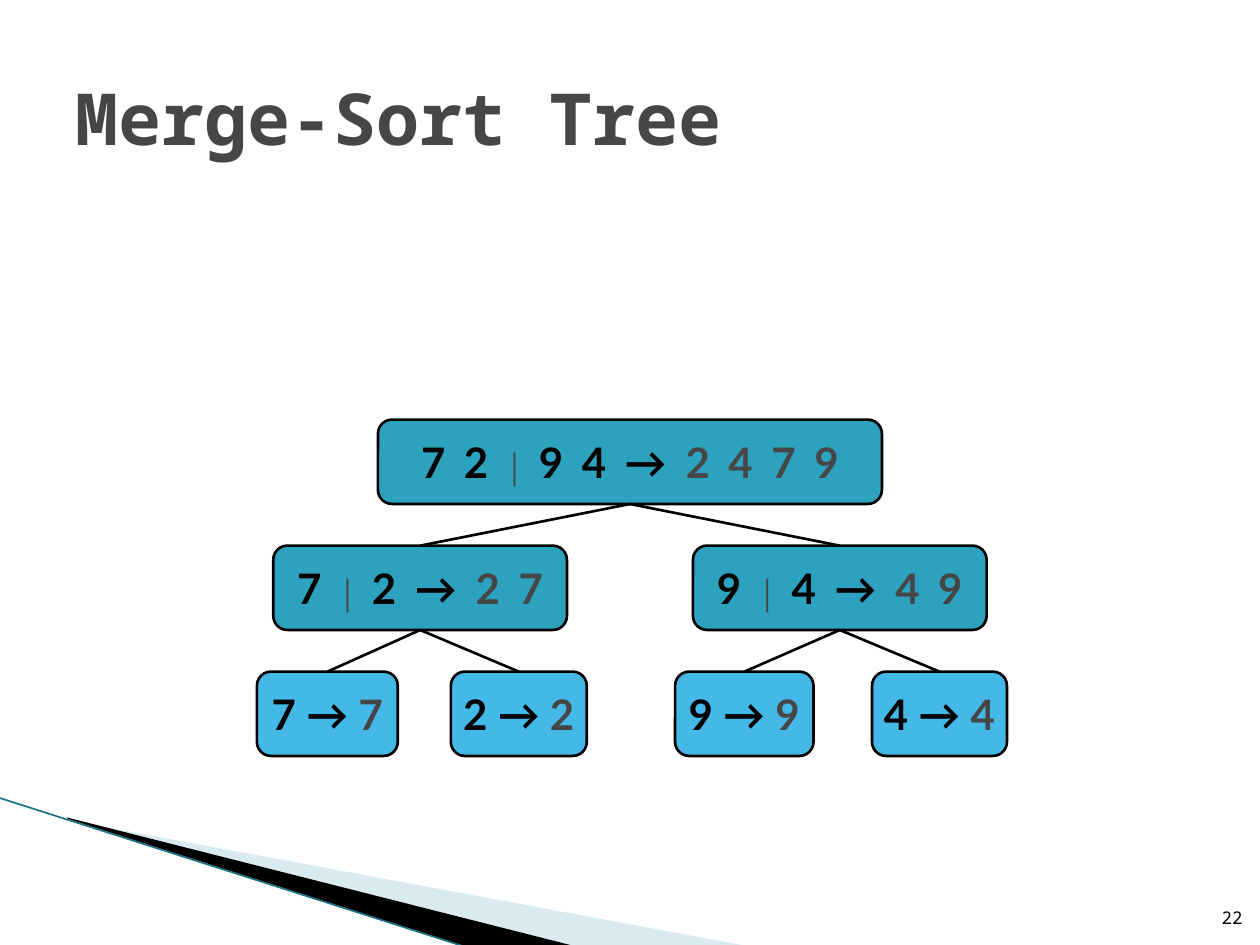
from dataclasses import dataclass
from typing import Optional

from lxml.etree import SubElement
from pptx import Presentation
from pptx.dml.color import RGBColor
from pptx.enum.shapes import MSO_CONNECTOR, MSO_SHAPE
from pptx.enum.text import MSO_ANCHOR, PP_ALIGN
from pptx.oxml.ns import qn
from pptx.util import Cm, Pt

COLORS = {
    "ink": "000000",
    "grey": "464646",
    "branch": "2DA2BF",
    "leaf": "44B9E8",
    "pale": "A0CBDC",
    "edge": "1D7086",
}
MONO = "Noto Sans Mono"
TREE_TOP, LEVEL_STEP, NODE_HEIGHT = 8.46, 2.54, 1.7
BRANCH_TRACKING = 2.4
TOP_SITE, BOTTOM_SITE = 0, 2


@dataclass(frozen=True)
class Node:
    level: int
    left: float
    width: float
    halves: tuple[str, ...]
    result: str
    parent: Optional[int] = None


@dataclass(frozen=True)
class Wedge:
    points: tuple[tuple[float, float], ...]
    color: str
    opacity: int


NODES = [
    Node(0, 7.62, 10.16, ("7 2", "9 4"), "2 4 7 9"),
    Node(1, 5.51, 5.92, ("7", "2"), "2 7", 0),
    Node(1, 13.97, 5.92, ("9", "4"), "4 9", 0),
    Node(2, 5.18, 2.84, ("7",), "7", 1),
    Node(2, 9.09, 2.74, ("2",), "2", 1),
    Node(2, 13.61, 2.79, ("9",), "9", 2),
    Node(2, 17.58, 2.72, ("4",), "4", 2),
]
WEDGES = [
    Wedge(((1.4, 16.54), (15.11, 19.08), (11.58, 19.08), (1.4, 16.51)), "pale", 40),
    Wedge(((1.35, 16.48), (11.61, 19.08), (9.45, 19.1), (1.37, 16.51)), "ink", 100),
]


def rgb(name: str) -> RGBColor:
    return RGBColor.from_string(COLORS[name])


def add_span(para, text: str, size: float, font: str, color: str,
             bold: bool = True, tracking: float = 0) -> None:
    span = para.add_run()
    span.text = text
    span.font.size = Pt(size)
    span.font.name = font
    span.font.bold = bold
    span.font.color.rgb = rgb(color)
    if tracking:
        span._r.get_or_add_rPr().set("spc", str(round(tracking * 100)))


def add_wedge(page, wedge: Wedge) -> None:
    start, *others = [(Cm(x), Cm(y)) for x, y in wedge.points]
    builder = page.shapes.build_freeform(*start)
    builder.add_line_segments(others, close=True)
    shape = builder.convert_to_shape()
    shape.shadow.inherit = False
    shape.fill.solid()
    shape.fill.fore_color.rgb = rgb(wedge.color)
    shape.line.fill.background()
    if wedge.opacity < 100:
        color = shape._element.spPr.find(qn("a:solidFill"))[0]
        SubElement(color, qn("a:alpha")).set("val", str(wedge.opacity * 1000))


def add_line(page, color: str, width: float, ends=(0, 0, 0, 0)):
    line = page.shapes.add_connector(MSO_CONNECTOR.STRAIGHT, *map(Cm, ends))
    line.line.color.rgb = rgb(color)
    line.line.width = Pt(width)
    SubElement(line._element.spPr, qn("a:effectLst"))
    return line


def add_node(page, node: Node):
    box = page.shapes.add_shape(
        MSO_SHAPE.ROUNDED_RECTANGLE, Cm(node.left),
        Cm(TREE_TOP + node.level * LEVEL_STEP), Cm(node.width), Cm(NODE_HEIGHT))
    box.shadow.inherit = False
    box.adjustments[0] = 0.167
    is_branch = len(node.halves) > 1
    box.fill.solid()
    box.fill.fore_color.rgb = rgb("branch" if is_branch else "leaf")
    box.line.color.rgb = rgb("ink")
    box.line.width = Pt(1.5)

    frame = box.text_frame
    frame.word_wrap = False
    frame.vertical_anchor = MSO_ANCHOR.MIDDLE
    para = frame.paragraphs[0]
    para.alignment = PP_ALIGN.CENTER
    tracking = BRANCH_TRACKING if is_branch else 0
    *first, last = node.halves
    for half in first:
        add_span(para, f"{half} ", 24, "Lato", "ink", tracking=tracking)
        add_span(para, "│", 16, "Arial", "grey")
    lead = " " if is_branch else ""
    add_span(para, f"{lead}{last} → ", 24, "Lato", "ink", tracking=tracking)
    add_span(para, node.result, 24, "Lato", "grey", tracking=tracking)
    return box


def add_title(page) -> None:
    title = page.shapes.title
    title.left, title.top = Cm(1.27), Cm(0.76)
    title.width, title.height = Cm(22.86), Cm(3.18)
    title.text_frame.vertical_anchor = MSO_ANCHOR.MIDDLE
    para = title.text_frame.paragraphs[0]
    para.alignment = PP_ALIGN.LEFT
    add_span(para, "Merge-Sort Tree", 41, MONO, "grey")


def add_page_number(page) -> None:
    box = page.shapes.add_textbox(Cm(24.03), Cm(17.81), Cm(1.02), Cm(1.02))
    frame = box.text_frame
    frame.word_wrap = True
    frame.margin_left = frame.margin_right = 0
    frame.vertical_anchor = MSO_ANCHOR.BOTTOM
    para = frame.paragraphs[0]
    para.alignment = PP_ALIGN.RIGHT
    add_span(para, "22", 10, MONO, "ink", bold=False)


def add_tree(page) -> None:
    boxes = [add_node(page, node) for node in NODES]
    for node, box in zip(NODES, boxes):
        if node.parent is not None:
            branch = add_line(page, "ink", 1.5)
            branch.begin_connect(boxes[node.parent], BOTTOM_SITE)
            branch.end_connect(box, TOP_SITE)


def main() -> None:
    deck = Presentation()
    deck.slide_width, deck.slide_height = Cm(25.4), Cm(19.05)
    page = deck.slides.add_slide(deck.slide_layouts[5])
    for wedge in WEDGES:
        add_wedge(page, wedge)
    add_line(page, "edge", 0.95, (-0.03, 16.08, 9.42, 19.1))
    add_page_number(page)
    add_title(page)
    add_tree(page)
    deck.save("out.pptx")


if __name__ == "__main__":
    main()
